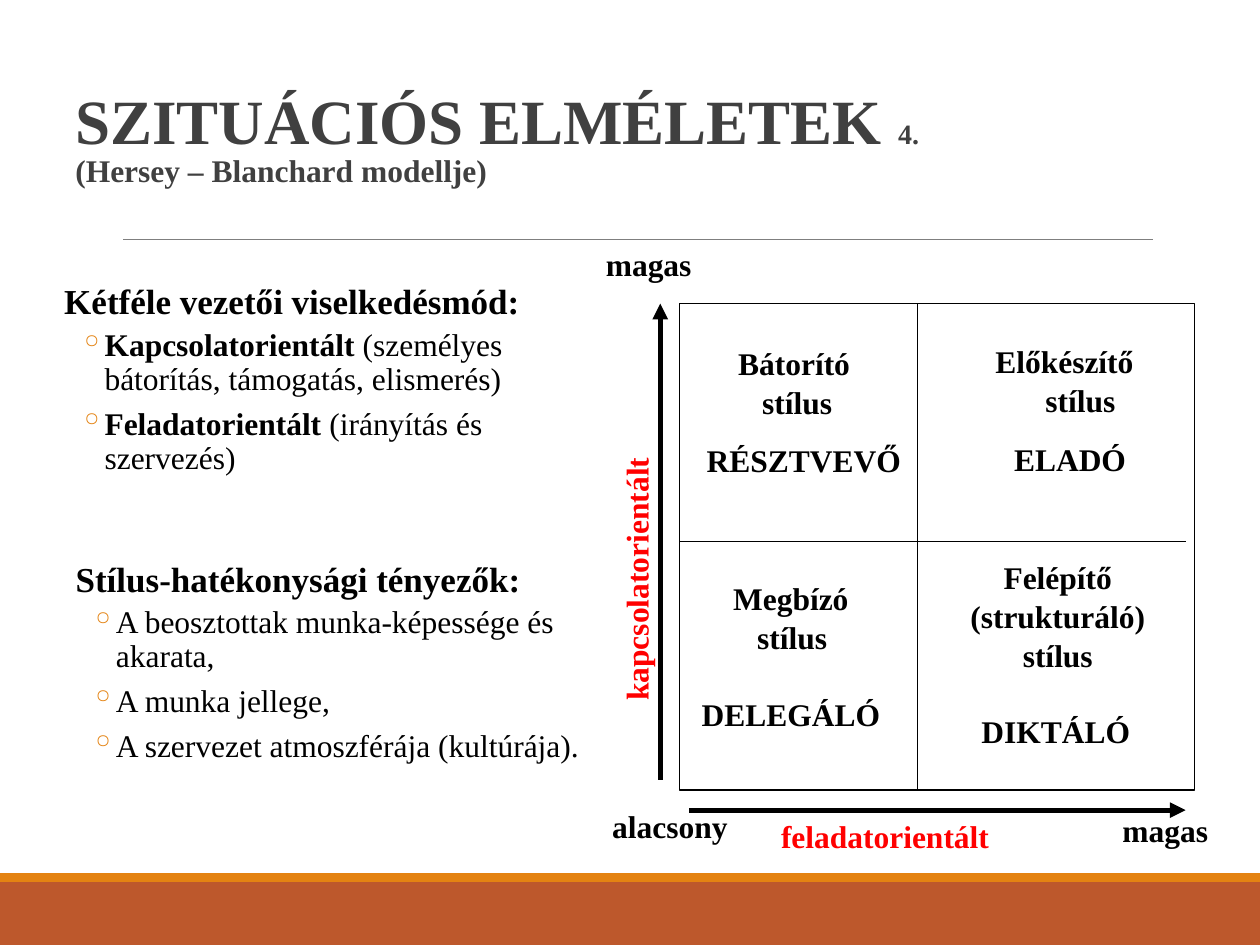
from lxml import etree
from pptx import Presentation
from pptx.dml.color import RGBColor
from pptx.enum.shapes import MSO_CONNECTOR, MSO_SHAPE
from pptx.enum.text import MSO_ANCHOR, PP_ALIGN
from pptx.oxml.ns import qn
from pptx.util import Inches, Pt

STRAIGHT = MSO_CONNECTOR.STRAIGHT
RECTANGLE = MSO_SHAPE.RECTANGLE
TOP, BOTTOM = MSO_ANCHOR.TOP, MSO_ANCHOR.BOTTOM
LEFT, CENTER = PP_ALIGN.LEFT, PP_ALIGN.CENTER

FONT = "Times New Roman"
BLACK, GRAY, RULE = "000000", "404040", "7F7F7F"
RED, ORANGE, RUST = "FF0000", "E48312", "BD582C"


def color(hex_value):
    return RGBColor.from_string(hex_value)


class SlideBuilder:
    def __init__(self, page):
        self.page = page

    def rectangle(self, x, y, width, height, fill=None, line=None):
        shape = self.page.shapes.add_shape(
            RECTANGLE, Inches(x), Inches(y), Inches(width), Inches(height))
        shape.shadow.inherit = False
        if fill:
            shape.fill.solid()
            shape.fill.fore_color.rgb = color(fill)
        else:
            shape.fill.background()
        if line:
            shape.line.color.rgb = color(line)
            shape.line.width = Pt(0.75)
        else:
            shape.line.fill.background()

    def line(self, start, end, width=0.75, line=BLACK, arrow=False):
        connector = self.page.shapes.add_connector(
            STRAIGHT, *(Inches(value) for value in (*start, *end)))
        connector.line.color.rgb = color(line)
        connector.line.width = Pt(width)
        properties = connector._element.spPr
        if arrow:
            etree.SubElement(properties.find(qn("a:ln")), qn("a:tailEnd"), type="triangle")
        etree.SubElement(properties, qn("a:effectLst"))

    def text_box(self, x, y, width, height, side_inset=0.1, anchor=TOP, rotation=0):
        box = self.page.shapes.add_textbox(
            Inches(x), Inches(y), Inches(width), Inches(height))
        box.rotation = rotation
        frame = box.text_frame
        settings = {
            "word_wrap": True, "vertical_anchor": anchor,
            "margin_left": Inches(side_inset), "margin_right": Inches(side_inset),
            "margin_top": Inches(0.05), "margin_bottom": Inches(0.05),
        }
        for name, value in settings.items():
            setattr(frame, name, value)
        return frame

    def paragraph(self, frame, first, indent=0.0, hanging=0.0, bullet=None, **formats):
        para = frame.paragraphs[0] if first else frame.add_paragraph()
        properties = para._p.get_or_add_pPr()
        properties.set("marL", str(Inches(indent)))
        properties.set("indent", str(-Inches(hanging)))
        if bullet:
            bullet_color = etree.SubElement(properties, qn("a:buClr"))
            etree.SubElement(bullet_color, qn("a:srgbClr"), val=ORANGE)
            etree.SubElement(properties, qn("a:buChar"), char=bullet)
        for name, value in formats.items():
            setattr(para, name, value)
        return para

    def span(self, para, text, size=18, bold=True, text_color=BLACK):
        run = para.add_run()
        run.text = text
        settings = {"name": FONT, "size": Pt(size), "bold": bold}
        for name, value in settings.items():
            setattr(run.font, name, value)
        run.font.color.rgb = color(text_color)

    def title(self, main, number, subtitle):
        frame = self.text_box(0.5, 0.3, 9, 1.25, anchor=BOTTOM)
        para = self.paragraph(frame, True, line_spacing=0.85)
        self.span(para, main, 36, text_color=GRAY)
        self.span(para, number, 16, text_color=GRAY)
        para.add_line_break()
        self.span(para, subtitle, 18, text_color=GRAY)

    def bullet_list(self, bounds, heading, items):
        """Add a heading with bullets; each item is a (bold lead, plain rest) pair."""
        frame = self.text_box(*bounds, side_inset=0)
        para = self.paragraph(frame, True, indent=0.1, line_spacing=0.9, space_after=Pt(2))
        self.span(para, heading, 20)
        for lead, rest in items:
            para = self.paragraph(frame, False, indent=0.42, hanging=0.2, bullet="◦",
                                  line_spacing=0.9, space_before=Pt(2), space_after=Pt(4))
            if lead:
                self.span(para, lead)
            self.span(para, rest, bold=False)

    def label(self, bounds, lines, text_color=BLACK, rotation=0):
        """Add bold lines, each given as (text, indent, points before, alignment)."""
        frame = self.text_box(*bounds, rotation=rotation)
        for index, (text, indent, before, alignment) in enumerate(lines):
            para = self.paragraph(frame, index == 0, indent=indent, alignment=alignment,
                                  line_spacing=1.03, space_before=Pt(before))
            self.span(para, text, text_color=text_color)


def main():
    deck = Presentation()
    deck.slide_width, deck.slide_height = Inches(10), Inches(7.5)
    builder = SlideBuilder(deck.slides.add_slide(deck.slide_layouts[6]))

    builder.rectangle(0, 7, 10, 0.5, fill=RUST)
    builder.rectangle(0, 6.93, 10, 0.07, fill=ORANGE)
    builder.line((0.98, 1.9), (9.15, 1.9), width=0.5, line=RULE)
    builder.title("SZITUÁCIÓS ELMÉLETEK ", "4.", "(Hersey – Blanchard modellje)")

    builder.bullet_list((0.41, 2.21, 4.25, 2.13), "Kétféle vezetői viselkedésmód:", [
        ("Kapcsolatorientált ", "(személyes bátorítás, támogatás, elismerés)"),
        ("Feladatorientált ", "(irányítás és szervezés)"),
    ])
    builder.bullet_list((0.5, 4.41, 4.19, 2.39), "Stílus-hatékonysági tényezők:", [
        ("", "A beosztottak munka-képessége és akarata,"),
        ("", "A munka jellege,"),
        ("", "A szervezet atmoszférája (kultúrája)."),
    ])

    grid_left, grid_top, grid_width, grid_height = 5.39, 2.41, 4.09, 3.86
    builder.rectangle(grid_left, grid_top, grid_width, grid_height, line=BLACK)
    builder.line((7.28, grid_top), (7.28, grid_top + grid_height))
    builder.line((grid_left, 4.3), (9.41, 4.3))
    builder.line((5.47, 6.43), (9.41, 6.43), width=3, arrow=True)
    builder.line((5.24, 6.19), (5.24, grid_top), width=3, arrow=True)

    quadrants = [
        ((5.51, 2.67, 1.89, 1.16), [("Bátorító", 0.25, 0, LEFT), ("stílus", 0.44, 0, LEFT),
                                    ("RÉSZTVEVŐ", 0, 11.2, LEFT)]),
        ((7.7, 2.66, 1.56, 1.62), [("Előkészítő ", 0, 0, CENTER), ("stílus", 0.19, 0, CENTER),
                                   ("ELADÓ", 0.25, 11.2, LEFT)]),
        ((5.47, 4.54, 1.65, 1.3), [("Megbízó", 0.25, 0, LEFT), ("stílus", 0.44, 0, LEFT),
                                   ("DELEGÁLÓ", 0, 21.4, LEFT)]),
        ((7.44, 4.37, 1.91, 1.6), [("Felépítő (strukturáló) stílus", 0, 0, CENTER),
                                   ("DIKTÁLÓ", 0.25, 21.4, LEFT)]),
    ]
    for bounds, lines in quadrants:
        builder.label(bounds, lines)

    axis_labels = [
        ("kapcsolatorientált", (3.69, 4.11, 2.7, 0.4), RED, 270),
        ("feladatorientált", (6.1, 6.43, 3.02, 0.4), RED, 0),
        ("magas", (8.81, 6.38, 1.38, 0.4), BLACK, 0),
        ("alacsony", (4.76, 6.35, 1.32, 0.4), BLACK, 0),
        ("magas", (4.71, 1.89, 1.38, 0.4), BLACK, 0),
    ]
    for text, bounds, text_color, rotation in axis_labels:
        builder.label(bounds, [(text, 0, 0, LEFT)], text_color, rotation)

    deck.save("out.pptx")


if __name__ == "__main__":
    main()
